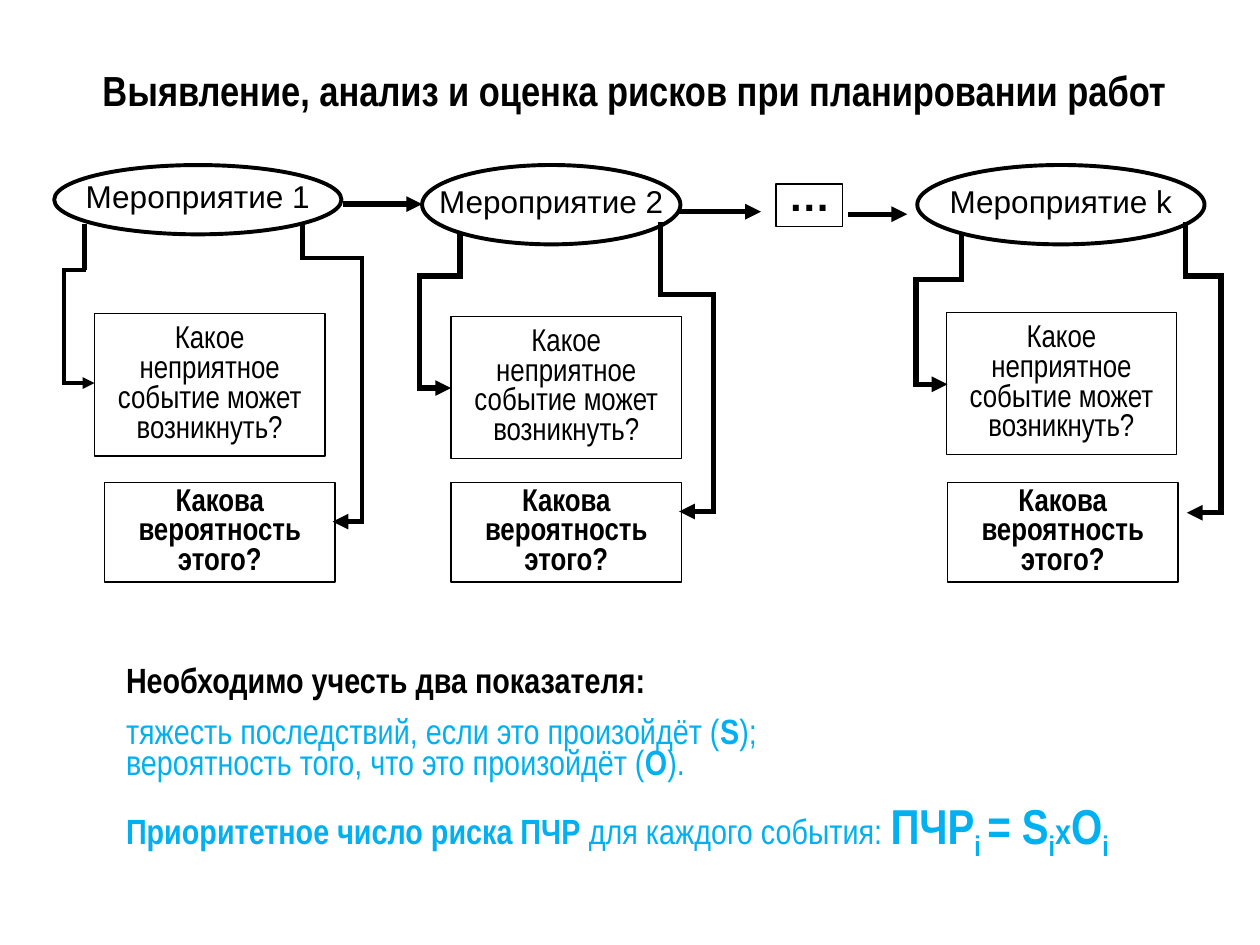
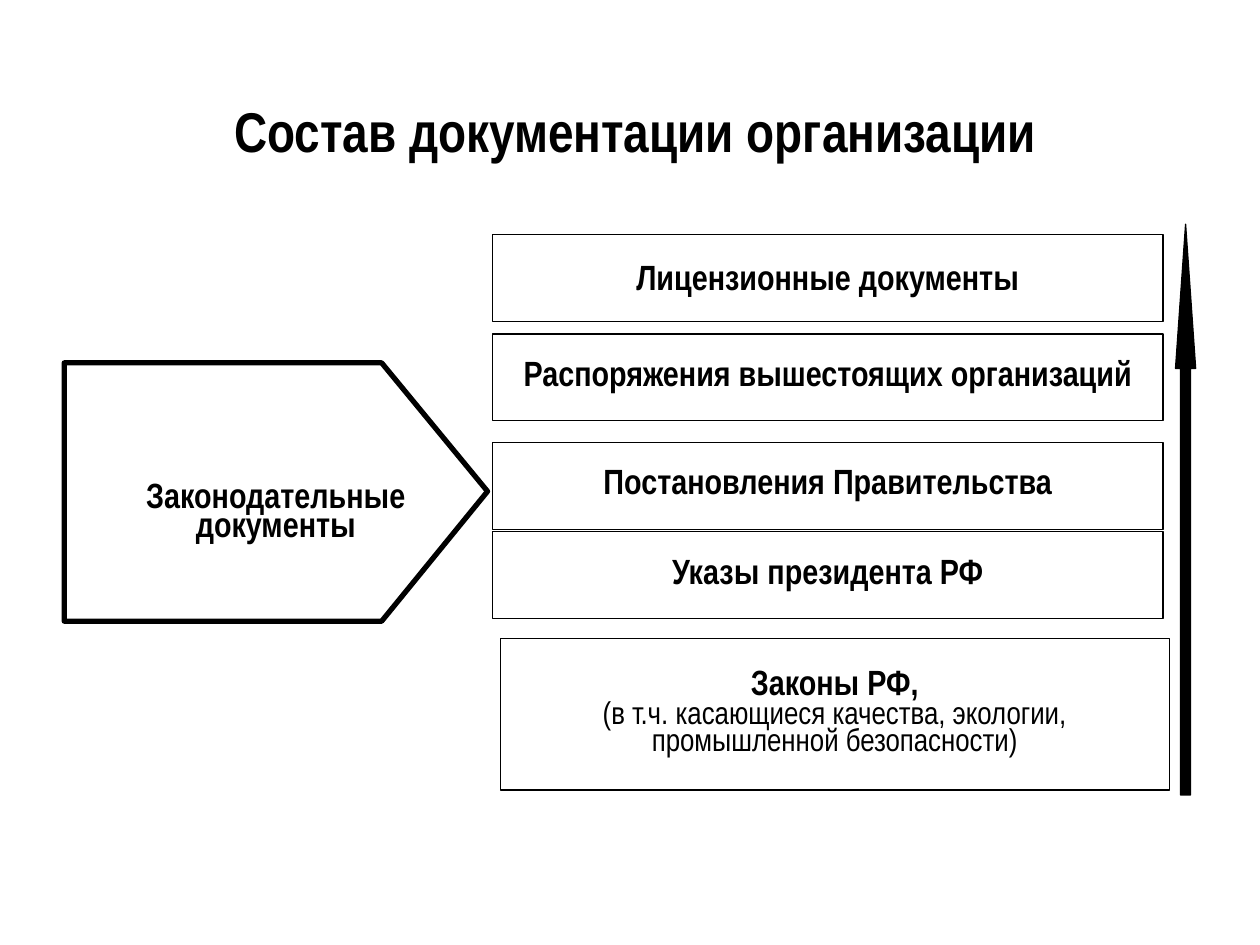
from dataclasses import dataclass
from itertools import pairwise

from lxml import etree
from pptx import Presentation
from pptx import util as u
from pptx.dml.color import RGBColor
from pptx.enum import shapes, text
from pptx.oxml.ns import qn

PX = 9144
BLACK = RGBColor(0x00, 0x00, 0x00)
WHITE = RGBColor(0xFF, 0xFF, 0xFF)
BLUE = RGBColor(0x00, 0xB0, 0xF0)
SANS = "Arial"
SLIM = "Arial Narrow"
RECT = shapes.MSO_SHAPE.RECTANGLE
OVAL = shapes.MSO_SHAPE.OVAL
MID = text.MSO_ANCHOR.MIDDLE
TOP = text.MSO_ANCHOR.TOP
LEFT = text.PP_ALIGN.LEFT
CENTER = text.PP_ALIGN.CENTER


@dataclass(frozen=True)
class Area:
    left: int
    top: int
    width: int
    height: int

    def emu(self) -> list[int]:
        return [n * PX for n in (self.left, self.top, self.width, self.height)]


@dataclass(frozen=True)
class Line:
    words: str
    size: int = 18
    bold: bool = False
    font: str = SLIM
    space: int = 0


@dataclass(frozen=True)
class Box:
    area: Area
    lines: tuple[Line, ...]
    kind: shapes.MSO_SHAPE = RECT
    edge: float = 0.75
    pitch: u.Pt | float = u.Pt(17)
    wrap: bool = True
    align: text.PP_ALIGN = CENTER
    anchor: text.MSO_ANCHOR = MID
    drop: int = 0


@dataclass(frozen=True)
class Path:
    points: tuple[tuple[int, int], ...]
    width: float = 3
    head: bool = True


@dataclass(frozen=True)
class Bit:
    words: str
    bold: bool = False
    size: int = 20
    sub: bool = False


@dataclass(frozen=True)
class Note:
    bits: tuple[Bit, ...]
    color: RGBColor = BLUE
    space: int = 0
    pitch: u.Pt | float = 1.0


def set_font(para, size: int, bold: bool | None, name: str, color: RGBColor) -> None:
    para.font.size = u.Pt(size)
    para.font.bold = bold
    para.font.name = name
    para.font.color.rgb = color


def move(shape, area: Area) -> None:
    shape.left, shape.top, shape.width, shape.height = area.emu()


def add_title(slide, words: str, area: Area, size: int) -> None:
    title = slide.shapes.title
    move(title, area)
    frame = title.text_frame
    frame.text = words
    frame.auto_size = text.MSO_AUTO_SIZE.NONE
    frame.vertical_anchor = MID
    para = frame.paragraphs[0]
    para.alignment = CENTER
    set_font(para, size, True, SLIM, BLACK)


def add_notes(body, area: Area, notes: tuple[Note, ...]) -> None:
    move(body, area)
    frame = body.text_frame
    frame.auto_size = text.MSO_AUTO_SIZE.NONE
    frame.vertical_anchor = MID
    for i, note in enumerate(notes):
        para = frame.add_paragraph() if i else frame.paragraphs[0]
        props = para._p.get_or_add_pPr()
        props.set("marL", str(51 * PX))
        props.set("indent", str(-51 * PX))
        etree.SubElement(props, qn("a:buNone"))
        para.space_before = u.Pt(note.space)
        para.line_spacing = note.pitch
        set_font(para, 20, None, SLIM, note.color)
        for bit in note.bits:
            run = para.add_run()
            run.text = bit.words
            run.font.bold = bit.bold
            run.font.size = u.Pt(bit.size)
            if bit.sub:
                run._r.get_or_add_rPr().set("baseline", "-25000")


def paint(shape, fill: RGBColor, edge: float) -> None:
    shape.shadow.inherit = False
    shape.fill.solid()
    shape.fill.fore_color.rgb = fill
    shape.line.color.rgb = BLACK
    shape.line.width = u.Pt(edge)


def fill_text(shape, box: Box) -> None:
    frame = shape.text_frame
    frame.word_wrap = box.wrap
    frame.vertical_anchor = box.anchor
    frame.margin_left = frame.margin_right = 10 * PX
    frame.margin_top = (5 + box.drop) * PX
    frame.margin_bottom = 5 * PX
    for i, line in enumerate(box.lines):
        para = frame.add_paragraph() if i else frame.paragraphs[0]
        para.text = line.words
        para.alignment = box.align
        para.line_spacing = box.pitch
        para.space_before = u.Pt(line.space)
        set_font(para, line.size, line.bold, line.font, BLACK)


def add_box(slide, box: Box) -> None:
    shape = slide.shapes.add_shape(box.kind, *box.area.emu())
    paint(shape, WHITE, box.edge)
    fill_text(shape, box)


def add_path(slide, path: Path) -> None:
    legs = list(pairwise(path.points))
    for i, (start, end) in enumerate(legs):
        link = slide.shapes.add_connector(
            shapes.MSO_CONNECTOR.STRAIGHT, *(n * PX for n in start + end))
        link.line.color.rgb = BLACK
        link.line.width = u.Pt(path.width)
        props = link._element.spPr
        stroke = props.find(qn("a:ln"))
        if len(legs) > 1:
            stroke.set("cap", "sq")
        if path.head and i == len(legs) - 1:
            etree.SubElement(stroke, qn("a:tailEnd"), type="triangle")
        etree.SubElement(props, qn("a:effectLst"))


def oval(words: str, area: Area) -> Box:
    return Box(area, (Line(words, font=SANS),), OVAL, 2.25, wrap=False)


def ask_event(left: int, top: int) -> Box:
    return Box(Area(left, top, 183, 113),
               (Line("Какое неприятное событие может возникнуть?"),))


def ask_odds(left: int) -> Box:
    return Box(Area(left, 383, 183, 79),
               (Line("Какова вероятность этого?", bold=True),))


RISKS = (
    oval("Мероприятие 1", Area(43, 131, 228, 55)),
    oval("Мероприятие 2", Area(335, 131, 205, 63)),
    oval("Мероприятие k", Area(728, 131, 228, 63)),
    ask_event(75, 249), ask_event(358, 251), ask_event(751, 248),
    ask_odds(83), ask_odds(358), ask_odds(752),
    Box(Area(616, 146, 53, 34), (Line("…", 24, True, SANS),),
        wrap=False, align=LEFT, anchor=TOP),
)

PATHS = (
    Path(((272, 162), (335, 162))),
    Path(((539, 168), (604, 168))),
    Path(((673, 170), (720, 170))),
    Path(((67, 178), (67, 214)), head=False),
    Path(((67, 214), (51, 214), (51, 304), (75, 304)), 2.25),
    Path(((240, 178), (240, 205)), head=False),
    Path(((240, 205), (287, 205), (287, 414)), 2.25, False),
    Path(((287, 414), (264, 414))),
    Path(((365, 186), (365, 219), (333, 219), (333, 308), (358, 308))),
    Path(((524, 178), (524, 234), (566, 234), (566, 406), (539, 406))),
    Path(((763, 186), (763, 222), (727, 222), (727, 305), (752, 305))),
    Path(((941, 178), (941, 219), (969, 219), (969, 407), (942, 407))),
)

NOTES = (
    Note((Bit("Необходимо учесть два показателя:", True),), BLACK),
    Note((Bit("тяжесть последствий, если это произойдёт ("),
          Bit("S", True), Bit(");")), space=5),
    Note((Bit("вероятность того, что это произойдёт ("),
          Bit("O", True), Bit(").")), pitch=u.Pt(18)),
    Note((Bit("Приоритетное число риска ПЧР", True),
          Bit(" для каждого события: "),
          Bit("ПЧР", True, 28), Bit("i ", True, 28, True),
          Bit("= S", True, 28), Bit("i", True, 28, True),
          Bit("х", True), Bit("O", True, 28),
          Bit("i", True, 28, True)), space=7),
)


def doc_box(top: int, words: str, drop: int = 0) -> Box:
    return Box(Area(391, top, 532, 69), (Line(words, 20, True),),
               pitch=0.7, drop=drop)


DOCS = (
    doc_box(186, "Лицензионные документы", 6),
    doc_box(265, "Распоряжения вышестоящих организаций"),
    doc_box(351, "Постановления Правительства"),
    doc_box(422, "Указы президента РФ"),
    Box(Area(397, 507, 531, 120),
        (Line("Законы РФ,", 20, True),
         Line("(в т.ч. касающиеся качества, экологии, промышленной безопасности)",
              space=1)), pitch=0.7),
)

LAWS = Box(Area(51, 288, 336, 205),
           (Line("Законодательные документы", 20, True),),
           edge=3, pitch=0.7, drop=35)


def add_laws(slide) -> None:
    area = LAWS.area
    right, base = area.left + area.width, area.top + area.height
    neck, mid = right - 84, area.top + area.height // 2
    pen = slide.shapes.build_freeform(area.left, area.top, scale=PX)
    pen.add_line_segments(
        [(neck, area.top), (right, mid), (neck, base), (area.left, base)])
    shape = pen.convert_to_shape()
    paint(shape, WHITE, LAWS.edge)
    fill_text(shape, LAWS)


def add_rise(slide) -> None:
    arrow = slide.shapes.add_shape(
        shapes.MSO_SHAPE.UP_ARROW, *Area(933, 178, 16, 453).emu())
    arrow.adjustments[0] = 0.5
    arrow.adjustments[1] = 7.16
    paint(arrow, BLACK, 0.75)


def risk_slide(deck) -> None:
    slide = deck.slides.add_slide(deck.slide_layouts[1])
    add_title(slide, "Выявление, анализ и оценка рисков при планировании работ",
              Area(27, 36, 953, 71), 24)
    add_notes(slide.placeholders[1], Area(90, 501, 833, 205), NOTES)
    for box in RISKS:
        add_box(slide, box)
    for path in PATHS:
        add_path(slide, path)


def docs_slide(deck) -> None:
    slide = deck.slides.add_slide(deck.slide_layouts[5])
    add_title(slide, "Состав документации организации",
              Area(51, 60, 907, 87), 32)
    add_laws(slide)
    add_rise(slide)
    for box in DOCS:
        add_box(slide, box)


def main() -> None:
    deck = Presentation()
    deck.slide_width, deck.slide_height = 1000 * PX, 750 * PX
    risk_slide(deck)
    docs_slide(deck)
    deck.save("out.pptx")


if __name__ == "__main__":
    main()
